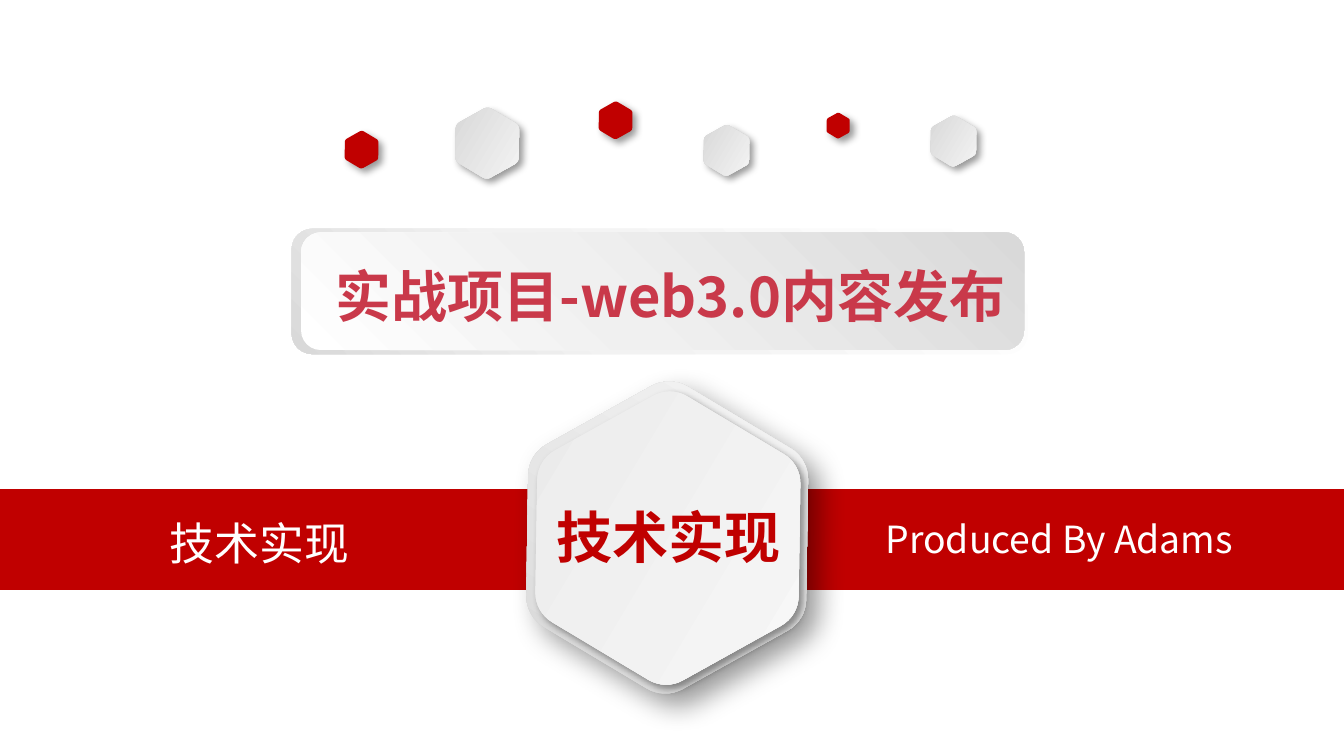
from math import cos, radians, sin, sqrt

from lxml.etree import SubElement
from pptx import Presentation
from pptx.dml.color import RGBColor
from pptx.enum.shapes import MSO_SHAPE as Shape
from pptx.enum.text import MSO_ANCHOR as Anchor, MSO_AUTO_SIZE as AutoSize, PP_ALIGN as Align
from pptx.oxml.ns import qn
from pptx.util import Pt

FONT = "Noto Sans CJK SC"
RED = RGBColor(0xC0, 0x00, 0x00)
ROSE = RGBColor(0xC9, 0x39, 0x4A)
WHITE = RGBColor(0xFF, 0xFF, 0xFF)
PALE = RGBColor(0xF9, 0xF9, 0xF9)
LIGHT = RGBColor(0xE9, 0xE9, 0xE9)
SILVER = RGBColor(0xD3, 0xD3, 0xD3)
MIST = RGBColor(0xF2, 0xF2, 0xF2)
FOG = RGBColor(0xF0, 0xF0, 0xF0)
GREY = RGBColor(0xD9, 0xD9, 0xD9)
BLACK = RGBColor(0x00, 0x00, 0x00)

TILT = 30.9
CORNER = 0.13
CORNER_STEPS = 8
SILVER_FADE = ([(0, SILVER), (100, PALE)], 0)


def add_color(parent, color):
    return SubElement(parent, qn("a:srgbClr"), val=str(color))


def add_shadow(effects, blur, distance):
    shadow = SubElement(effects, qn("a:outerShdw"), blurRad=str(Pt(blur)), dist=str(Pt(distance)),
                        dir="2700000", algn="tl", rotWithShape="0")
    SubElement(add_color(shadow, BLACK), qn("a:alpha"), val="40000")


def paint(shape, fill, shadow=None):
    shape.shadow.inherit = False
    shape.line.fill.background()
    if isinstance(fill, RGBColor):
        shape.fill.solid()
        shape.fill.fore_color.rgb = fill
    elif fill is None:
        shape.fill.background()
    else:
        stops, angle = fill
        shape.fill.gradient()
        gradient = shape._element.spPr.find(qn("a:gradFill"))
        for child in list(gradient):
            gradient.remove(child)
        gradient.set("rotWithShape", "1")
        stop_list = SubElement(gradient, qn("a:gsLst"))
        for position, color in stops:
            add_color(SubElement(stop_list, qn("a:gs"), pos=str(position * 1000)), color)
        SubElement(gradient, qn("a:lin"), ang=str(angle * 60000), scaled="0")
    if shadow:
        add_shadow(shape._element.spPr.find(qn("a:effectLst")), *shadow)


def add_box(shapes, kind, box, fill):
    shape = shapes.add_shape(kind, *map(Pt, box))
    paint(shape, fill)
    return shape


def hexagon_points(center_x, center_y, height):
    radius = height / sqrt(3)
    arc_radius = CORNER * radius * sqrt(3)
    arc_center = radius - arc_radius * 2 / sqrt(3)
    for corner in range(0, 360, 60):
        for step in range(CORNER_STEPS + 1):
            turn = radians(corner - 30 + 60 * step / CORNER_STEPS)
            yield (Pt(center_x + arc_center * cos(radians(corner)) + arc_radius * cos(turn)),
                   Pt(center_y + arc_center * sin(radians(corner)) + arc_radius * sin(turn)))


def add_hexagon(shapes, center_x, center_y, height, fill, shadow=(4, 3)):
    points = list(hexagon_points(center_x, center_y, height))
    builder = shapes.build_freeform(*points[0])
    builder.add_line_segments(points[1:], close=True)
    hexagon = builder.convert_to_shape()
    hexagon.rotation = TILT
    paint(hexagon, fill, shadow)


def write(shape, text, size, color, align, bold=False):
    shape.text_frame.text = text
    paragraph = shape.text_frame.paragraphs[0]
    paragraph.alignment = align
    run = paragraph.runs[0]
    run.font.size = Pt(size)
    run.font.bold = bold
    run.font.color.rgb = color
    run.font.name = FONT
    SubElement(run.font._element, qn("a:ea"), typeface=FONT)
    return run


def add_label(shapes, box, text, size, color, align, bold=False):
    label = shapes.add_textbox(*map(Pt, box))
    label.text_frame.word_wrap = True
    label.text_frame.auto_size = AutoSize.SHAPE_TO_FIT_TEXT
    write(label, text, size, color, align, bold)


def add_badge_text(shapes, box, text):
    badge = add_box(shapes, Shape.ROUNDED_RECTANGLE, box, None)
    badge.text_frame.vertical_anchor = Anchor.MIDDLE
    run = write(badge, text, 30, RED, Align.CENTER, True)
    properties = run.font._element
    effects = SubElement(properties, qn("a:effectLst"))
    add_shadow(effects, 4, 3)
    properties.find(qn("a:solidFill")).addnext(effects)


def main():
    presentation = Presentation()
    presentation.slide_width, presentation.slide_height = Pt(720), Pt(405)
    slide = presentation.slides.add_slide(presentation.slide_layouts[6])
    shapes = slide.shapes

    add_box(shapes, Shape.RECTANGLE, (0, 262, 720, 54), RED)
    add_label(shapes, (12.2, 273, 253.4, 36), "技术实现", 24, WHITE, Align.CENTER)
    add_label(shapes, (467.3, 273, 252, 31.7), "Produced By Adams", 20, WHITE, Align.LEFT)

    for center_x, center_y, height, fill in [
        (261, 76.7, 34, SILVER_FADE),
        (329.8, 64.5, 18, RED),
        (193.7, 80.2, 18, RED),
        (389.2, 80.6, 24.3, SILVER_FADE),
        (449, 67.3, 12.3, RED),
        (510.8, 75.6, 24.3, SILVER_FADE),
    ]:
        add_hexagon(shapes, center_x, center_y, height, fill)

    badge = shapes.add_group_shape().shapes
    add_hexagon(badge, 357.4, 288, 150, ([(0, SILVER), (100, PALE)], 270), (15, 9))
    add_hexagon(badge, 357.8, 288.3, 141, ([(0, LIGHT), (100, PALE)], 0))

    plate = shapes.add_group_shape().shapes
    add_box(plate, Shape.ROUNDED_RECTANGLE, (156.2, 122.5, 394.5, 67.2),
            ([(0, WHITE), (62, MIST), (100, GREY)], 135))
    add_box(plate, Shape.ROUNDED_RECTANGLE, (161.3, 124.5, 387.3, 63),
            ([(0, WHITE), (42, FOG), (100, GREY)], 315))

    add_label(shapes, (162, 136.8, 394.5, 80), "实战项目-web3.0内容发布", 30, ROSE, Align.CENTER, True)
    add_badge_text(shapes, (287.3, 269.3, 141.8, 36), "技术实现")

    presentation.save("out.pptx")


main()
